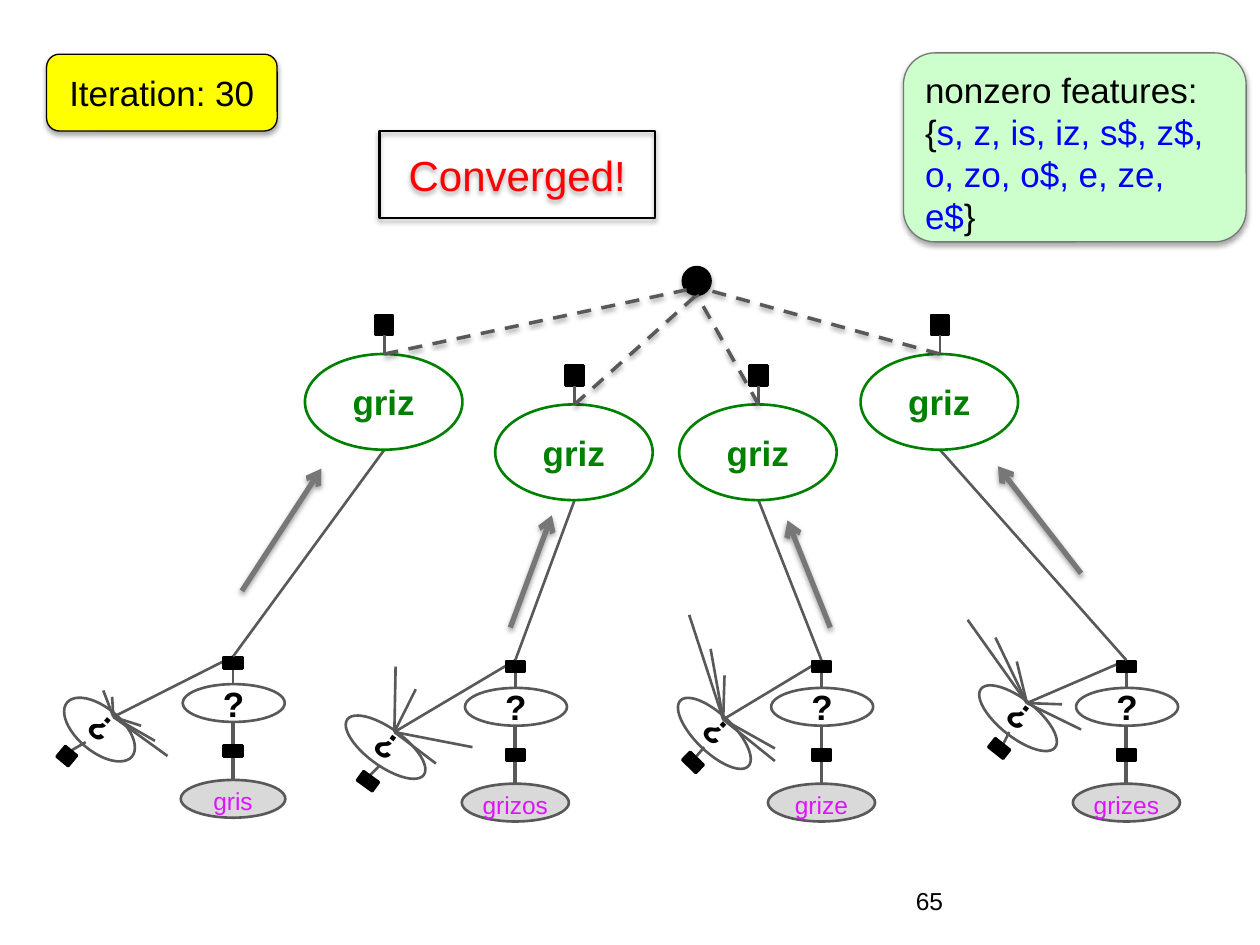
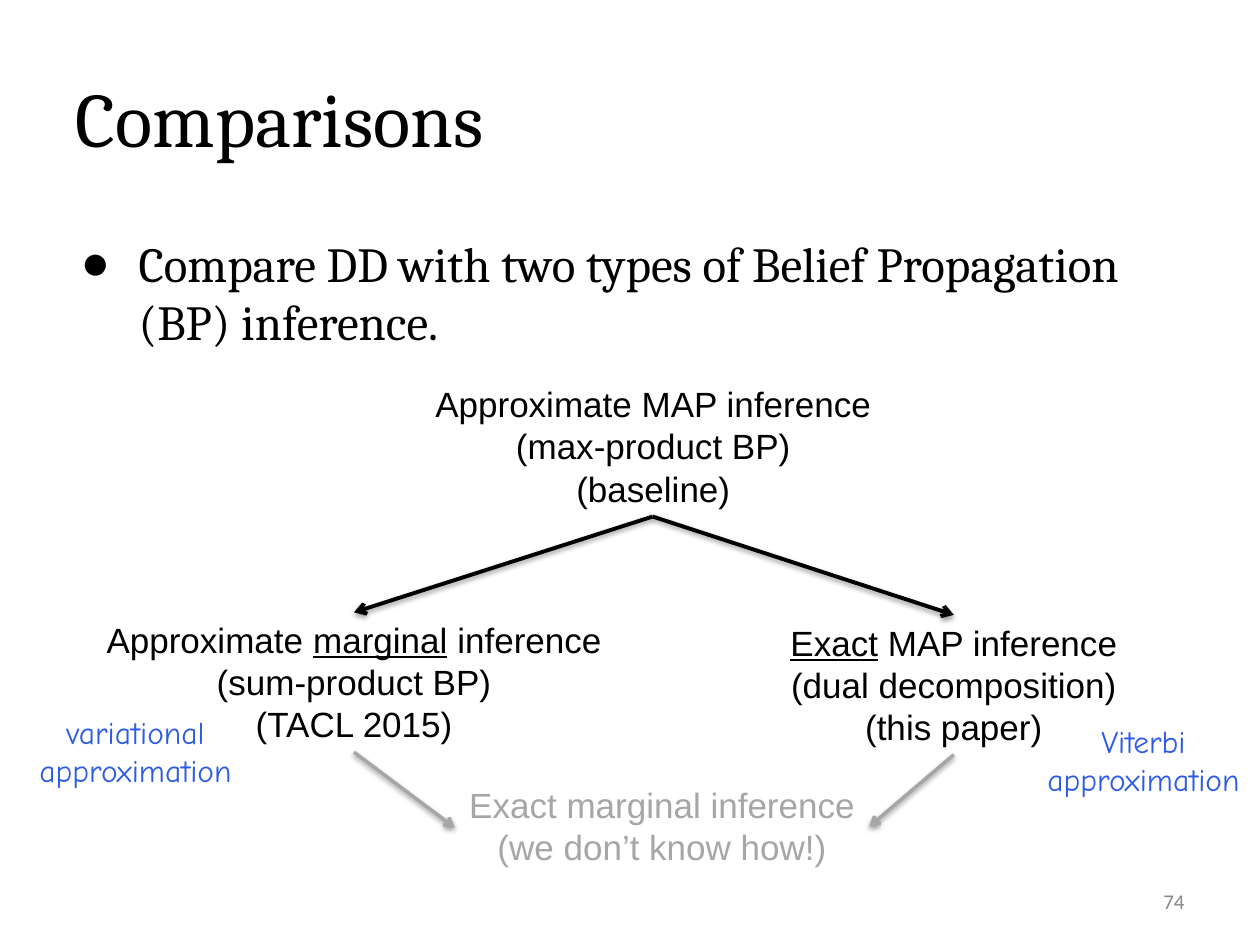
import lxml.etree
import pptx
import pptx.dml.color
import pptx.enum.dml
import pptx.enum.shapes
import pptx.enum.text
import pptx.oxml.ns
import pptx.util
from dataclasses import dataclass

Inches, Pt = pptx.util.Inches, pptx.util.Pt
qn = pptx.oxml.ns.qn
SHAPES = pptx.enum.shapes.MSO_SHAPE
ALIGN = pptx.enum.text.PP_ALIGN
ANCHOR = pptx.enum.text.MSO_ANCHOR


@dataclass(frozen=True)
class Theme:
    black: str = "000000"
    white: str = "FFFFFF"
    edge: str = "595959"
    arrow: str = "777777"
    belief: str = "008000"
    observed: str = "D9D9D9"
    word: str = "E013FF"
    feature: str = "0000FF"
    feature_fill: str = "CCFFCC"
    iteration_fill: str = "FFFF00"
    converged: str = "FF0000"
    faded: str = "A6A6A6"
    note: str = "2D5BE5"
    number: str = "888888"
    sans: str = "Arial"
    serif: str = "Cambria"
    hand: str = "Comic Neue"
    small_sans: str = "Calibri"
    title_size: int = 44
    list_size: int = 28
    status_size: int = 24
    text_size: int = 20
    note_size: int = 18
    word_size: int = 14
    number_size: int = 12


THEME = Theme()

# Slide 1 content: one factor graph per observed word
ROOT = (5.53, 2.23)
GRAPHS = [
    dict(word="gris", word_width=0.83, top=(1.85, 5.21), belief=(3.05, 2.81), root_end=(5.45, 2.3),
         arrow=((1.92, 4.69), (2.55, 3.72)), hub=(0.9, 5.69),
         side=(0.79, 5.79), side_size=(0.67, 0.35), tilt=219.7,
         stem=((0.56, 5.96), (0.68, 5.89)), factor=(0.53, 6), factor_size=(0.12, 0.11),
         rays=[(1.23, 5.88), (1.12, 5.76), (1.33, 6), (0.89, 5.53), (0.82, 5.48)]),
    dict(word="grizos", word_width=0.85, top=(4.09, 5.24), belief=(4.56, 3.21), root_end=(5.53, 2.34),
         arrow=((4.05, 4.98), (4.38, 4.09)), hub=(3.13, 5.81),
         side=(3.06, 5.93), side_size=(0.75, 0.3), tilt=215.9,
         stem=((2.93, 6.16), (3.01, 6.08)), factor=(2.92, 6.2), factor_size=(0.15, 0.09),
         rays=[(3.46, 6.06), (3.3, 5.47), (3.14, 5.29), (3.75, 5.93)]),
    dict(word="grize", word_width=0.85, top=(6.52, 5.24), belief=(6.02, 3.21), root_end=(5.53, 2.34),
         arrow=((6.59, 4.98), (6.25, 4.13)), hub=(5.74, 5.71),
         side=(5.67, 5.82), side_size=(0.75, 0.3), tilt=224,
         stem=((5.52, 6.01), (5.59, 5.93)), factor=(5.5, 6.05), factor_size=(0.15, 0.09),
         rays=[(5.64, 5.15), (6.15, 5.94), (5.75, 5.36), (6.15, 6.04), (5.47, 4.88)]),
    dict(word="grizes", word_width=0.85, top=(8.94, 5.24), belief=(7.46, 2.81), root_end=(5.61, 2.3),
         arrow=((8.58, 4.55), (7.92, 3.7)), hub=(8.15, 5.58),
         side=(8.08, 5.7), side_size=(0.75, 0.3), tilt=218.4,
         stem=((7.96, 5.91), (8.01, 5.81)), factor=(7.93, 5.94), factor_size=(0.15, 0.09),
         rays=[(8.07, 5.25), (7.9, 5.06), (8.43, 5.59), (8.58, 5.79), (7.68, 4.92)]),
]
FEATURES = [("nonzero features: {", {}),
            ("s, z, is, iz, s$, z$, o, zo, o$, e, ze, e$", {"color": THEME.feature}),
            ("}", {})]

# Slide 2 content: text blocks as (box, lines, color, font, size)
UNDERLINED = {"underline": True}
METHOD = (THEME.black, THEME.sans, THEME.text_size)
NOTE = (THEME.note, THEME.hand, THEME.note_size)
BLOCKS = [
    ((3.33, 2.99, 3.71, 1.11),
     ["Approximate MAP inference", "(max-product BP)", "(baseline)"], *METHOD),
    ((0.72, 4.86, 4.18, 1.11),
     [[("Approximate ", {}), ("marginal", UNDERLINED), (" inference", {})],
      "(sum-product BP)", "(TACL 2015)"], *METHOD),
    ((6.16, 4.88, 2.82, 1.11),
     [[("Exact", UNDERLINED), (" MAP inference", {})],
      "(dual decomposition)", "(this paper)"], *METHOD),
    ((3.61, 6.17, 3.29, 0.77),
     ["Exact marginal inference", "(we don’t know how!)"],
     THEME.faded, THEME.sans, THEME.text_size),
    ((0.15, 5.61, 1.85, 0.71), ["variational", "approximation"], *NOTE),
    ((8.15, 5.68, 1.85, 0.71), ["Viterbi", "approximation"], *NOTE),
]
METHOD_ARROWS = [
    ((5.18, 4.1), (2.81, 4.86), THEME.black, 2.25),
    ((5.18, 4.1), (7.57, 4.88), THEME.black, 2.25),
    ((2.81, 5.97), (3.61, 6.57), THEME.faded, 2),
    ((7.57, 5.99), (6.9, 6.56), THEME.faded, 2),
]


# Shared helpers
def rgb(color):
    return pptx.dml.color.RGBColor.from_string(color)


def set_shadow(shape, opacity=0, distance=0):
    """Replace the theme shadow by none, or by a soft one below."""
    effects = lxml.etree.SubElement(shape._element.spPr, qn("a:effectLst"))
    if opacity:
        outer = lxml.etree.SubElement(
            effects, qn("a:outerShdw"), blurRad=str(Pt(3.1)), dist=str(Pt(distance)),
            dir="5400000", rotWithShape="0")
        tint = lxml.etree.SubElement(outer, qn("a:srgbClr"), val=THEME.black)
        lxml.etree.SubElement(tint, qn("a:alpha"), val=str(opacity * 1000))


def write(shape, lines, color=THEME.black, font=THEME.sans, size=THEME.text_size, bold=None,
          align=ALIGN.CENTER, anchor=ANCHOR.MIDDLE, wrap=True, margins=(0.1, 0.05), spacing=None):
    """Fill a shape; each line is a string or a list of (text, changes) runs."""
    frame = shape.text_frame
    frame.word_wrap = wrap
    frame.auto_size = pptx.enum.text.MSO_AUTO_SIZE.NONE
    frame.vertical_anchor = anchor
    frame.margin_left = frame.margin_right = Inches(margins[0])
    frame.margin_top = frame.margin_bottom = Inches(margins[1])
    for index, line in enumerate(lines):
        paragraph = frame.add_paragraph() if index else frame.paragraphs[0]
        paragraph.alignment = align
        paragraph.line_spacing = spacing
        paragraph.font.name, paragraph.font.size = font, Pt(size)
        paragraph.font.bold = bold
        paragraph.font.color.rgb = rgb(color)
        for text, changes in [(line, {})] if isinstance(line, str) else line:
            run = paragraph.add_run()
            run.text = text
            run.font.color.rgb = rgb(changes.get("color", color))
            run.font.underline = changes.get("underline")


def add_box(slide, kind, box, fill, line, width=1.5, rotation=0, shadow=False):
    shape = slide.shapes.add_shape(kind, *map(Inches, box))
    if fill:
        shape.fill.solid()
        shape.fill.fore_color.rgb = rgb(fill)
    else:
        shape.fill.background()
    shape.line.color.rgb = rgb(line)
    shape.line.width = Pt(width)
    shape.rotation = rotation
    set_shadow(shape, *((35, 1.8) if shadow else ()))
    return shape


def centered(center, size):
    return (center[0] - size[0] / 2, center[1] - size[1] / 2, *size)


def add_line(slide, start, end, color=THEME.edge, width=1.5, arrow=False, dashed=False):
    connector = slide.shapes.add_connector(
        pptx.enum.shapes.MSO_CONNECTOR.STRAIGHT, *map(Inches, (*start, *end)))
    connector.line.color.rgb = rgb(color)
    connector.line.width = Pt(width)
    if dashed:
        connector.line.dash_style = pptx.enum.dml.MSO_LINE.DASH
    if arrow:
        outline = connector._element.spPr.find(qn("a:ln"))
        lxml.etree.SubElement(outline, qn("a:tailEnd"), type="arrow")
    set_shadow(connector, *((38, 1.6) if arrow or dashed else ()))


def add_text(slide, box, lines, **style):
    write(slide.shapes.add_textbox(*map(Inches, box)), lines, **style)


def add_number(slide, number, **style):
    add_text(slide, (7.17, 6.95, 2.33, 0.4), [number], **style)


# Factor graph parts
def add_variable(slide, box, text, fill=THEME.white, line=THEME.edge, rotation=0, **style):
    shape = add_box(slide, SHAPES.OVAL, box, fill, line, rotation=rotation)
    write(shape, [text], margins=(0.03, 0.03), wrap=False, **style)


def add_factor(slide, center, size=(0.15, 0.09), rotation=0):
    add_box(slide, SHAPES.RECTANGLE, centered(center, size), THEME.black, THEME.black,
            rotation=rotation)


def add_graph(slide, graph):
    x, y = graph["top"]
    belief_x, belief_y = graph["belief"]
    hub = graph["hub"]

    # Tilted side variable with its rays
    add_variable(slide, centered(graph["side"], graph["side_size"]), "?",
                 rotation=graph["tilt"], bold=True)
    add_line(slide, *graph["stem"])
    add_factor(slide, graph["factor"], graph["factor_size"], graph["tilt"])
    for end in [*graph["rays"], graph["top"]]:
        add_line(slide, hub, end)

    # Column from the top factor down to the observed word
    for offset, length, width in [(0.09, 0.13, 1.5), (0.51, 0.19, 2.25), (0.79, 0.19, 2.25)]:
        add_line(slide, (x, y + offset), (x, y + offset + length), width=width)
    for offset in (0, 0.7):
        add_factor(slide, (x, y + offset + 0.05))
    add_variable(slide, (x - 0.4, y + 0.22, 0.81, 0.3), "?", bold=True)
    add_variable(slide, (x - graph["word_width"] / 2, y + 0.98, graph["word_width"], 0.3),
                 graph["word"], fill=THEME.observed, color=THEME.word,
                 size=THEME.word_size, spacing=1.15)

    # Belief variable above
    add_line(slide, (belief_x, belief_y + 0.76), (x, y))
    add_variable(slide, (belief_x - 0.63, belief_y, 1.25, 0.76), "griz",
                 line=THEME.belief, color=THEME.belief, bold=True)
    add_factor(slide, (belief_x, belief_y - 0.23), (0.14, 0.16))
    add_line(slide, (belief_x, belief_y - 0.15), (belief_x, belief_y))
    add_line(slide, *graph["arrow"], color=THEME.arrow, width=3, arrow=True)


def build_convergence(presentation):
    slide = presentation.slides.add_slide(presentation.slide_layouts[6])
    add_number(slide, "65", size=THEME.word_size, align=ALIGN.LEFT)
    for graph in GRAPHS:
        add_graph(slide, graph)

    # Root and agreement links
    add_box(slide, SHAPES.OVAL, centered(ROOT, (0.23, 0.23)), THEME.black, THEME.black,
            0.75, shadow=True)
    for graph in GRAPHS:
        add_line(slide, graph["belief"], graph["root_end"], width=2, dashed=True)

    # Status boxes
    features = add_box(slide, SHAPES.ROUNDED_RECTANGLE, (7.17, 0.42, 2.72, 1.5),
                       THEME.feature_fill, THEME.arrow, 0.75, shadow=True)
    write(features, [FEATURES], align=ALIGN.LEFT, anchor=ANCHOR.TOP)
    iteration = add_box(slide, SHAPES.ROUNDED_RECTANGLE, (0.37, 0.43, 1.83, 0.61),
                        THEME.iteration_fill, THEME.black, 0.75, shadow=True)
    write(iteration, ["Iteration: 30"])
    converged = add_box(slide, SHAPES.RECTANGLE, (3.01, 1.04, 2.19, 0.69), None, THEME.black,
                        shadow=True)
    write(converged, ["Converged!"], color=THEME.converged, size=THEME.status_size)


def place(shape, box):
    shape.left, shape.top, shape.width, shape.height = map(Inches, box)


def build_comparisons(presentation):
    slide = presentation.slides.add_slide(presentation.slide_layouts[1])
    title, body = slide.placeholders
    place(title, (0.5, 0.3, 9, 1.25))
    write(title, ["Comparisons"], font=THEME.serif, size=THEME.title_size,
          align=ALIGN.LEFT, margins=(0.1, 0.1))
    place(body, (0.5, 1.75, 9, 4.95))
    write(body, ["Compare DD with two types of Belief Propagation (BP) inference."],
          font=THEME.serif, size=THEME.list_size, align=ALIGN.LEFT, anchor=ANCHOR.TOP,
          margins=(0.1, 0.1))

    # Bullet
    paragraph = body.text_frame.paragraphs[0]
    paragraph.space_before = Pt(0)
    properties = paragraph._p.get_or_add_pPr()
    properties.set("marL", str(Inches(0.5)))
    properties.set("indent", str(Inches(-0.46)))
    bullet = lxml.etree.Element(qn("a:buChar"), char="●")
    properties.find(qn("a:defRPr")).addprevious(bullet)

    # Methods and the arrows between them
    for box, lines, color, font, size in BLOCKS:
        add_text(slide, box, lines, color=color, font=font, size=size,
                 anchor=ANCHOR.TOP, wrap=False)
    for start, end, color, width in METHOD_ARROWS:
        add_line(slide, start, end, color, width, arrow=True)
    add_number(slide, "74", color=THEME.number, font=THEME.small_sans,
               size=THEME.number_size, align=ALIGN.RIGHT)


def main():
    presentation = pptx.Presentation()
    presentation.slide_width, presentation.slide_height = Inches(10), Inches(7.5)
    build_convergence(presentation)
    build_comparisons(presentation)
    presentation.save("out.pptx")


if __name__ == "__main__":
    main()
